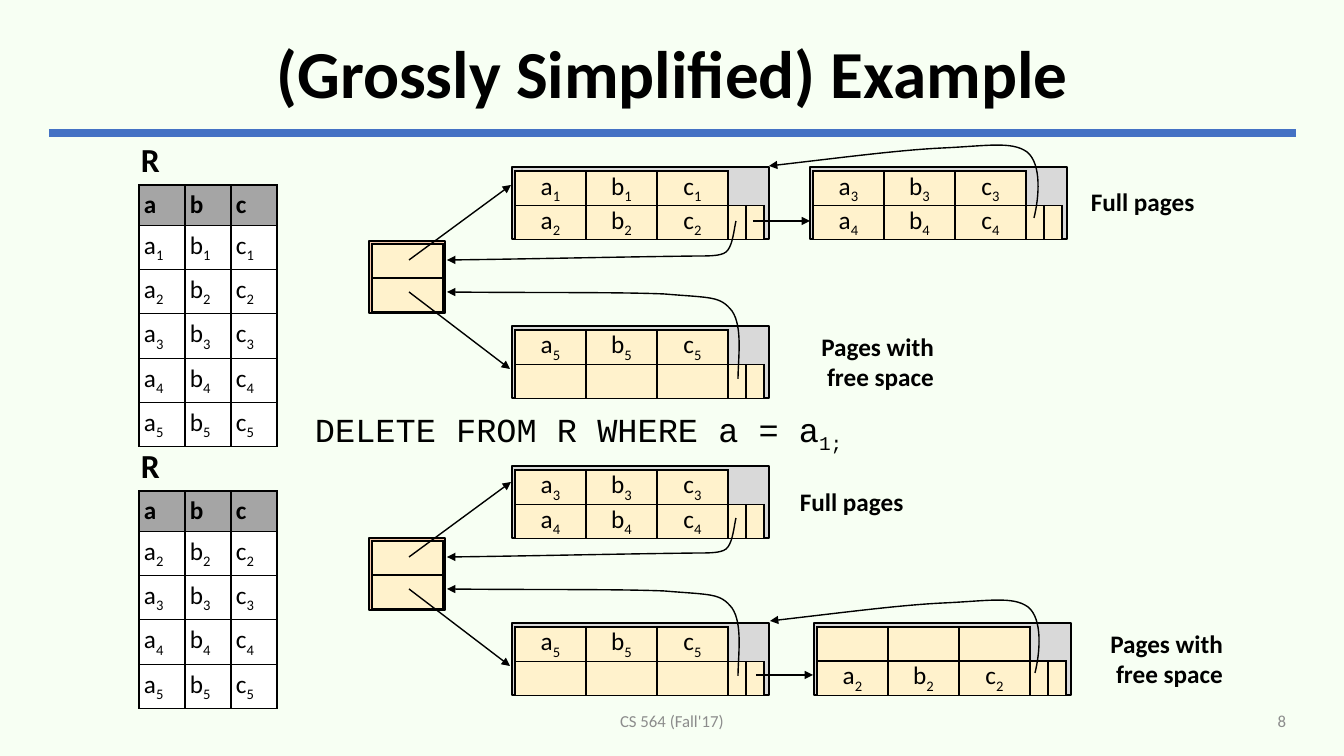
from lxml.etree import SubElement
from pptx import Presentation
from pptx.dml.color import RGBColor
from pptx.enum.shapes import MSO_CONNECTOR, MSO_SHAPE
from pptx.enum.text import MSO_ANCHOR, PP_ALIGN
from pptx.oxml import parse_xml
from pptx.oxml.ns import nsdecls, qn
from pptx.util import Pt

PX = 914400 / 100.8
BLACK = RGBColor(0x00, 0x00, 0x00)
WHITE = RGBColor(0xFF, 0xFF, 0xFF)
MINT = RGBColor(0xF7, 0xFF, 0xF3)
BLUE = RGBColor(0x44, 0x72, 0xC4)
GREY = RGBColor(0x8C, 0x8C, 0x8C)
HEADER = RGBColor(0xA5, 0xA5, 0xA5)
SALMON = RGBColor(0xF8, 0xCB, 0xAD)
PAGE = RGBColor(0xD9, 0xD9, 0xD9)
CREAM = RGBColor(0xFF, 0xF2, 0xCC)

# Cubic curves: a start point, then two controls and an end for each piece
FULL_TO_DIRECTORY = [(736, 221), (734, 230), (733, 243), (728, 250),
                     (724, 256), (712, 256), (696, 256),
                     (613, 257), (530, 259), (447, 260)]
FREE_TO_DIRECTORY = [(738, 379), (738, 359), (743, 327), (732, 311),
                     (720, 296), (712, 298), (664, 294),
                     (616, 292), (528, 293), (447, 292)]
NEXT_TO_PREVIOUS = [(1034, 218), (1039, 198), (1042, 164), (1027, 152),
                    (1012, 141), (987, 146), (943, 148),
                    (900, 150), (839, 158), (769, 166)]


def emu(*lengths):
    return [round(length * PX) for length in lengths]


def record(number):
    return [f"{column}_{number}" for column in "abc"]


class Board:
    font = "Calibri"

    def __init__(self, slide):
        self.slide = slide
        self.shapes = slide.shapes
        slide.background.fill.solid()
        slide.background.fill.fore_color.rgb = MINT

    def fill_paragraph(self, paragraph, text, size=18, bold=False, color=BLACK,
                       font=None, align=PP_ALIGN.LEFT):
        """Text after an underscore becomes a subscript."""
        base, _, subscript = text.partition("_")
        paragraph.text = base
        paragraph.alignment = align
        if subscript:
            run = paragraph.add_run()
            run.text = subscript
            run._r.get_or_add_rPr().set("baseline", "-25000")
        for run in paragraph.runs:
            run.font.name = font or self.font
            run.font.size = Pt(size)
            run.font.bold = bold
            run.font.color.rgb = color

    def text(self, x, y, w, h, lines, anchor=MSO_ANCHOR.TOP, spacing=None, **style):
        frame = self.shapes.add_textbox(*emu(x, y, w, h)).text_frame
        frame.word_wrap = True
        frame.vertical_anchor = anchor
        frame.text = "\n".join(lines)
        for paragraph, line in zip(frame.paragraphs, lines):
            self.fill_paragraph(paragraph, line, **style)
            paragraph.line_spacing = spacing

    def box(self, x, y, w, h, fill):
        shape = self.shapes.add_shape(MSO_SHAPE.RECTANGLE, *emu(x, y, w, h))
        shape.shadow.inherit = False
        shape.fill.solid()
        shape.fill.fore_color.rgb = fill
        shape.line.color.rgb = BLACK
        shape.line.width = Pt(1.5)

    def add_head(self, line):
        SubElement(line._get_or_add_ln(), qn("a:tailEnd"), type="triangle")

    def line(self, x1, y1, x2, y2, color=BLACK, width=1, head=True):
        connector = self.shapes.add_connector(
            MSO_CONNECTOR.STRAIGHT, *emu(x1, y1, x2, y2))
        connector.line.color.rgb = color
        connector.line.width = Pt(width)
        if head:
            self.add_head(connector.line)
        SubElement(connector._element.spPr, qn("a:effectLst"))

    def curve(self, points, dx=0, dy=0):
        start, *rest = [(x + dx, y + dy) for x, y in points]
        builder = self.shapes.build_freeform(*start, scale=PX)
        builder.add_line_segments(rest, close=False)
        shape = builder.convert_to_shape()
        steps = list(shape._element.iter(qn("a:lnTo")))
        outline = steps[0].getparent()
        for first in range(0, len(steps), 3):
            bezier = SubElement(outline, qn("a:cubicBezTo"))
            for step in steps[first:first + 3]:
                bezier.append(step[0])
                outline.remove(step)
        shape.shadow.inherit = False
        shape.fill.background()
        shape.line.color.rgb = BLACK
        shape.line.width = Pt(1)
        self.add_head(shape.line)

    def cell(self, cell, fill, margin, borders="LRTB"):
        cell.margin_left = cell.margin_right = emu(margin)[0]
        cell.margin_top = cell.margin_bottom = emu(margin)[0]
        if fill is None:
            cell.fill.background()
        else:
            cell.fill.solid()
            cell.fill.fore_color.rgb = fill
        for index, side in enumerate("LRTB"):
            paint = ('<a:solidFill><a:srgbClr val="000000"/></a:solidFill>'
                     if side in borders else "<a:noFill/>")
            cell._tc.get_or_add_tcPr().insert(index, parse_xml(
                f'<a:ln{side} {nsdecls("a")} w="12700">{paint}</a:ln{side}>'))

    def table(self, x, y, widths, row_height, rows):
        table = self.shapes.add_table(
            len(rows), len(widths),
            *emu(x, y, sum(widths), row_height * len(rows))).table
        table.first_row = table.horz_banding = False
        for column, width in zip(table.columns, widths):
            column.width = emu(width)[0]
        for row in table.rows:
            row.height = emu(row_height)[0]
        return table

    def relation(self, y, numbers):
        """Relation R with its header row and one row for each record."""
        self.text(131, y - 51, 44, 50, ["R"], size=24, bold=True)
        rows = [list("abc")] + [record(number) for number in numbers]
        table = self.table(139, y, [46, 46, 46], 35, rows)
        for r, values in enumerate(rows):
            for c, value in enumerate(values):
                cell = table.cell(r, c)
                self.fill_paragraph(cell.text_frame.paragraphs[0], value, bold=r == 0)
                self.cell(cell, WHITE if r else HEADER, 5)

    def page(self, x, y, *numbers):
        """A page of two records, with two pointer slots at its lower right."""
        self.box(x, y, 257, 72, PAGE)
        table = self.table(x + 3, y + 4, [71, 71, 71, 18, 18], 34, numbers)
        for r, number in enumerate(numbers):
            for c in range(5):
                cell = table.cell(r, c)
                if number and c < 3:
                    self.fill_paragraph(cell.text_frame.paragraphs[0],
                                        record(number)[c], align=PP_ALIGN.CENTER)
                if r == 0 and c > 2:
                    self.cell(cell, None, 0, "LB" if c == 3 else "B")
                else:
                    self.cell(cell, CREAM, 0)

    def directory(self, dy):
        """The header page and its links to and from both page lists."""
        self.box(369, 241 + dy, 76, 72, SALMON)
        slots = self.table(372, 244 + dy, [71], 34, range(2))
        for slot in slots.iter_cells():
            self.cell(slot, CREAM, 0)
        self.line(409, 260 + dy, 511, 185 + dy)
        self.line(409, 292 + dy, 510, 369 + dy)
        self.curve(FULL_TO_DIRECTORY, dy=dy)
        self.curve(FREE_TO_DIRECTORY, dy=dy)

    def labels(self, full, free):
        self.text(*full, 136, 40, ["Full pages"], bold=True)
        self.text(*free, 151, 71, ["Pages with ", "free space"], bold=True,
                  align=PP_ALIGN.CENTER)


def main():
    deck = Presentation()
    deck.slide_width, deck.slide_height = emu(1344, 756)
    board = Board(deck.slides.add_slide(deck.slide_layouts[6]))

    # Title and footer
    board.line(49, 133, 1296, 133, BLUE, 6, head=False)
    board.text(49, 24, 1247, 105, ["(Grossly Simplified) Example"], MSO_ANCHOR.MIDDLE,
               0.9, size=48, bold=True, align=PP_ALIGN.CENTER)
    board.text(445, 701, 454, 40, ["CS 564 (Fall'17)"], MSO_ANCHOR.MIDDLE,
               size=12, color=GREY, align=PP_ALIGN.CENTER)
    board.text(949, 701, 347, 40, ["8"], MSO_ANCHOR.MIDDLE,
               size=12, color=GREY, align=PP_ALIGN.RIGHT)

    # Before the deletion
    board.relation(185, range(1, 6))
    board.page(512, 167, 1, 2)
    board.page(810, 167, 3, 4)
    board.page(512, 326, 5, None)
    board.directory(0)
    board.line(753, 221, 810, 221)
    board.curve(NEXT_TO_PREVIOUS)
    board.labels((1081, 181), (805, 326))

    # The statement
    board.text(305, 404, 570, 50, ["DELETE FROM R WHERE a = a_1;"],
               size=24, font="Courier New")

    # After the deletion
    board.relation(491, range(2, 6))
    board.page(512, 466, 3, 4)
    board.page(512, 623, 5, None)
    board.page(814, 623, None, 2)
    board.directory(297)
    board.line(756, 675, 813, 675)
    board.curve(NEXT_TO_PREVIOUS, 1, 455)
    board.labels((790, 481), (1094, 623))

    deck.save("out.pptx")


if __name__ == "__main__":
    main()
